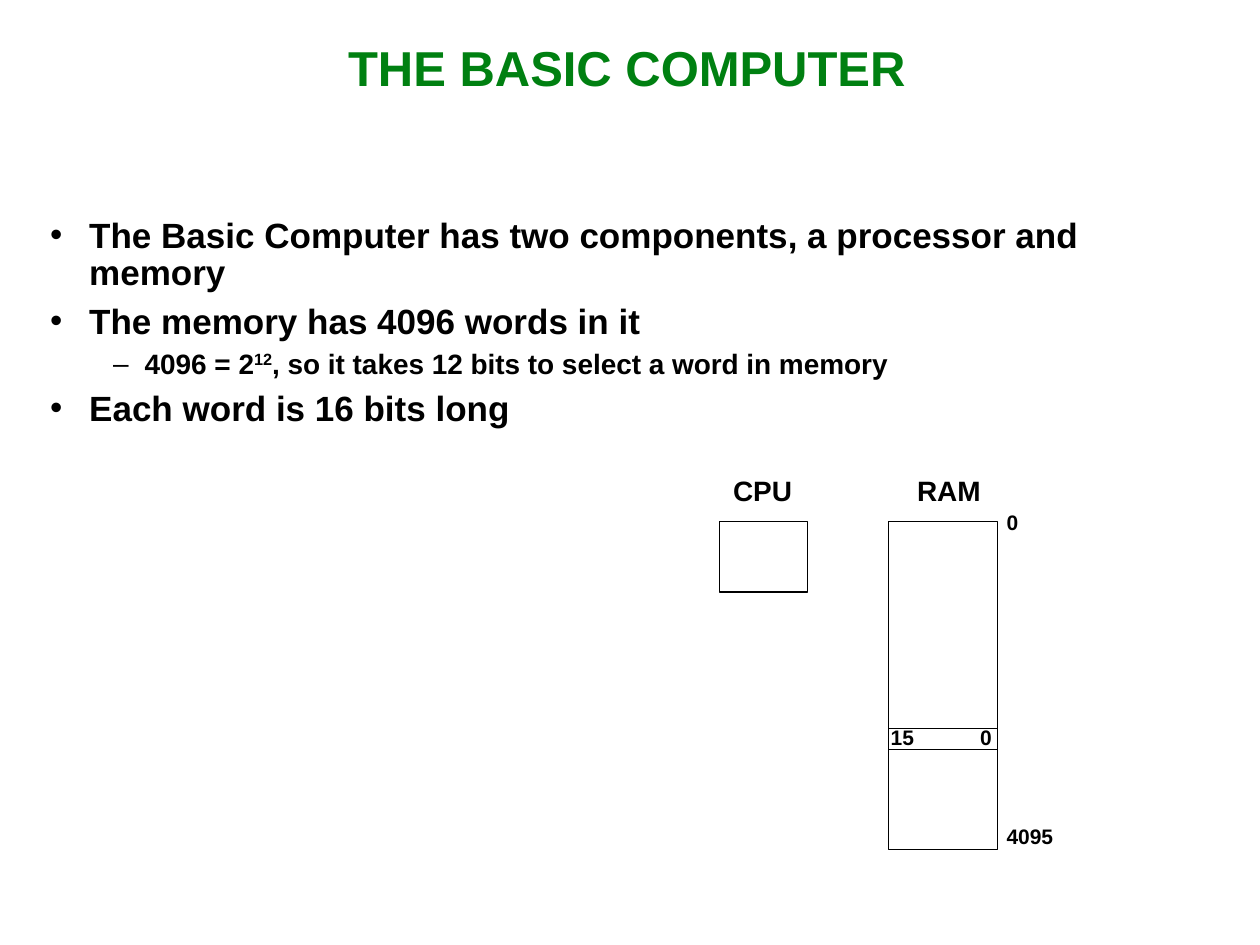
from dataclasses import dataclass

from lxml import etree
from pptx import Presentation
from pptx.dml.color import RGBColor
from pptx.enum.shapes import MSO_CONNECTOR, MSO_SHAPE
from pptx.enum.text import MSO_AUTO_SIZE, PP_ALIGN
from pptx.oxml.ns import qn
from pptx.util import Emu, Inches, Pt

RECTANGLE = MSO_SHAPE.RECTANGLE
STRAIGHT = MSO_CONNECTOR.STRAIGHT
FIT_SHAPE, FIXED = MSO_AUTO_SIZE.SHAPE_TO_FIT_TEXT, MSO_AUTO_SIZE.NONE
LEFT, CENTER = PP_ALIGN.LEFT, PP_ALIGN.CENTER

SLIDE_WIDTH, SLIDE_HEIGHT = Inches(10), Inches(7.5)
GRID_COLUMNS, GRID_ROWS = 100, 75


@dataclass(frozen=True)
class Theme:
    font: str = "Arial"
    ink: RGBColor = RGBColor(0x00, 0x00, 0x00)
    heading: RGBColor = RGBColor(0x00, 0x80, 0x11)
    title_size: float = 28
    point_size: float = 20
    detail_size: float = 16
    address_size: float = 12
    line_width: float = 0.75
    line_spacing: float = 0.9
    space_share: float = 0.3


@dataclass(frozen=True)
class Box:
    column: float
    row: float
    columns: float
    rows: float

    @property
    def right(self) -> float:
        return self.column + self.columns

    def place(self) -> tuple[Emu, Emu, Emu, Emu]:
        return across(self.column), down(self.row), across(self.columns), down(self.rows)


@dataclass(frozen=True)
class Bullet:
    mark: str
    level: int
    margin: float
    hanging: float


@dataclass(frozen=True)
class Line:
    text: str
    size: float
    bullet: Bullet | None = None
    superscript: str = ""
    ending: str = ""


@dataclass(frozen=True)
class Label:
    text: str
    size: float
    box: Box


THEME = Theme()
POINT = Bullet("•", 0, 3.1, 3.1)
DETAIL = Bullet("–", 1, 7.5, 2.5)

TITLE = Line("THE BASIC COMPUTER", THEME.title_size)
FACTS = [
    Line("The Basic Computer has two components, a processor and memory",
         THEME.point_size, POINT),
    Line("The memory has 4096 words in it", THEME.point_size, POINT),
    Line("4096 = 2", THEME.detail_size, DETAIL, "12",
         ", so it takes 12 bits to select a word in memory"),
    Line("Each word is 16 bits long", THEME.point_size, POINT),
]

CPU = Box(57.1, 41.4, 7, 5.6)
RAM = Box(70.5, 41.4, 8.7, 26)
WORD_EDGES = (57.8, 59.5)
LABELS = [
    Label("CPU", THEME.detail_size, Box(57.2, 37.4, 6.7, 3.4)),
    Label("RAM", THEME.detail_size, Box(71.8, 37.4, 7.1, 3.4)),
    Label("0", THEME.address_size, Box(78.9, 40.2, 2.9, 2.8)),
    Label("4095", THEME.address_size, Box(78.9, 65.1, 5.7, 2.8)),
    Label("0", THEME.address_size, Box(76.8, 57.2, 2.9, 2.8)),
    Label("15", THEME.address_size, Box(69.7, 57.2, 3.9, 2.8)),
]


def across(columns: float) -> Emu:
    return Emu(round(SLIDE_WIDTH * columns / GRID_COLUMNS))


def down(rows: float) -> Emu:
    return Emu(round(SLIDE_HEIGHT * rows / GRID_ROWS))


def add_bullet(paragraph, bullet: Bullet) -> None:
    paragraph.level = bullet.level
    properties = paragraph._p.get_or_add_pPr()
    properties.set("marL", str(across(bullet.margin)))
    properties.set("indent", str(-across(bullet.hanging)))
    etree.SubElement(properties, qn("a:buFont")).set("typeface", THEME.font)
    etree.SubElement(properties, qn("a:buChar")).set("char", bullet.mark)


def add_text(slide, box: Box, lines: list[Line], *, color: RGBColor = THEME.ink,
             align: PP_ALIGN = LEFT, wrap: bool = True,
             fit: MSO_AUTO_SIZE = FIT_SHAPE,
             inset: tuple[float, float] = (1, 0.5)) -> None:
    frame = slide.shapes.add_textbox(*box.place()).text_frame
    frame.word_wrap, frame.auto_size = wrap, fit
    frame.margin_left = frame.margin_right = across(inset[0])
    frame.margin_top = frame.margin_bottom = down(inset[1])
    for index, line in enumerate(lines):
        paragraph = frame.add_paragraph() if index else frame.paragraphs[0]
        paragraph.alignment = align
        paragraph.line_spacing = THEME.line_spacing
        if index:
            paragraph.space_before = Pt(line.size * THEME.space_share)
        if line.bullet:
            add_bullet(paragraph, line.bullet)
        for words in filter(None, (line.text, line.superscript, line.ending)):
            run = paragraph.add_run()
            run.text = words
            run.font.name, run.font.size, run.font.bold = THEME.font, Pt(line.size), True
            run.font.color.rgb = color
            if words == line.superscript:
                run._r.get_or_add_rPr().set("baseline", "30000")


def add_block(slide, box: Box) -> None:
    block = slide.shapes.add_shape(RECTANGLE, *box.place())
    block.shadow.inherit = False
    block.fill.background()
    block.line.color.rgb = THEME.ink
    block.line.width = Pt(THEME.line_width)


def add_word_edge(slide, memory: Box, row: float) -> None:
    edge = slide.shapes.add_connector(
        STRAIGHT, across(memory.column), down(row), across(memory.right), down(row))
    edge.line.color.rgb = THEME.ink
    edge.line.width = Pt(THEME.line_width)
    etree.SubElement(edge._element.spPr, qn("a:effectLst"))


def main() -> None:
    presentation = Presentation()
    presentation.slide_width, presentation.slide_height = SLIDE_WIDTH, SLIDE_HEIGHT
    slide = presentation.slides.add_slide(presentation.slide_layouts[6])

    add_text(slide, Box(1.6, 3.2, 96.3, 4.8), [TITLE], color=THEME.heading,
             align=CENTER, inset=(0.7, 0.3))
    add_text(slide, Box(3, 16.8, 90, 21.7), FACTS, fit=FIXED)
    for component in (CPU, RAM):
        add_block(slide, component)
    for row in WORD_EDGES:
        add_word_edge(slide, RAM, row)
    for label in LABELS:
        add_text(slide, label.box, [Line(label.text, label.size)], wrap=False)

    presentation.save("out.pptx")


if __name__ == "__main__":
    main()
